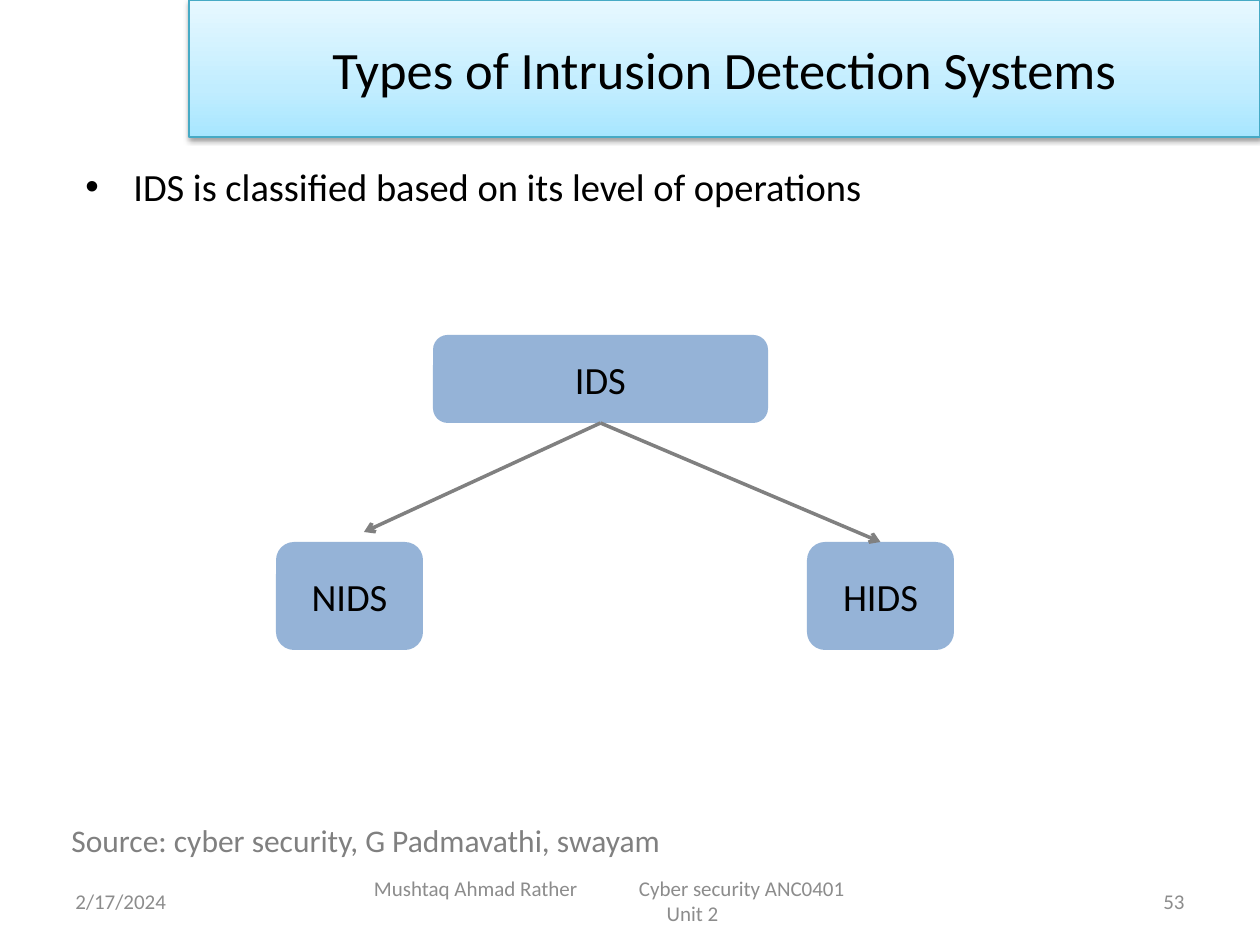
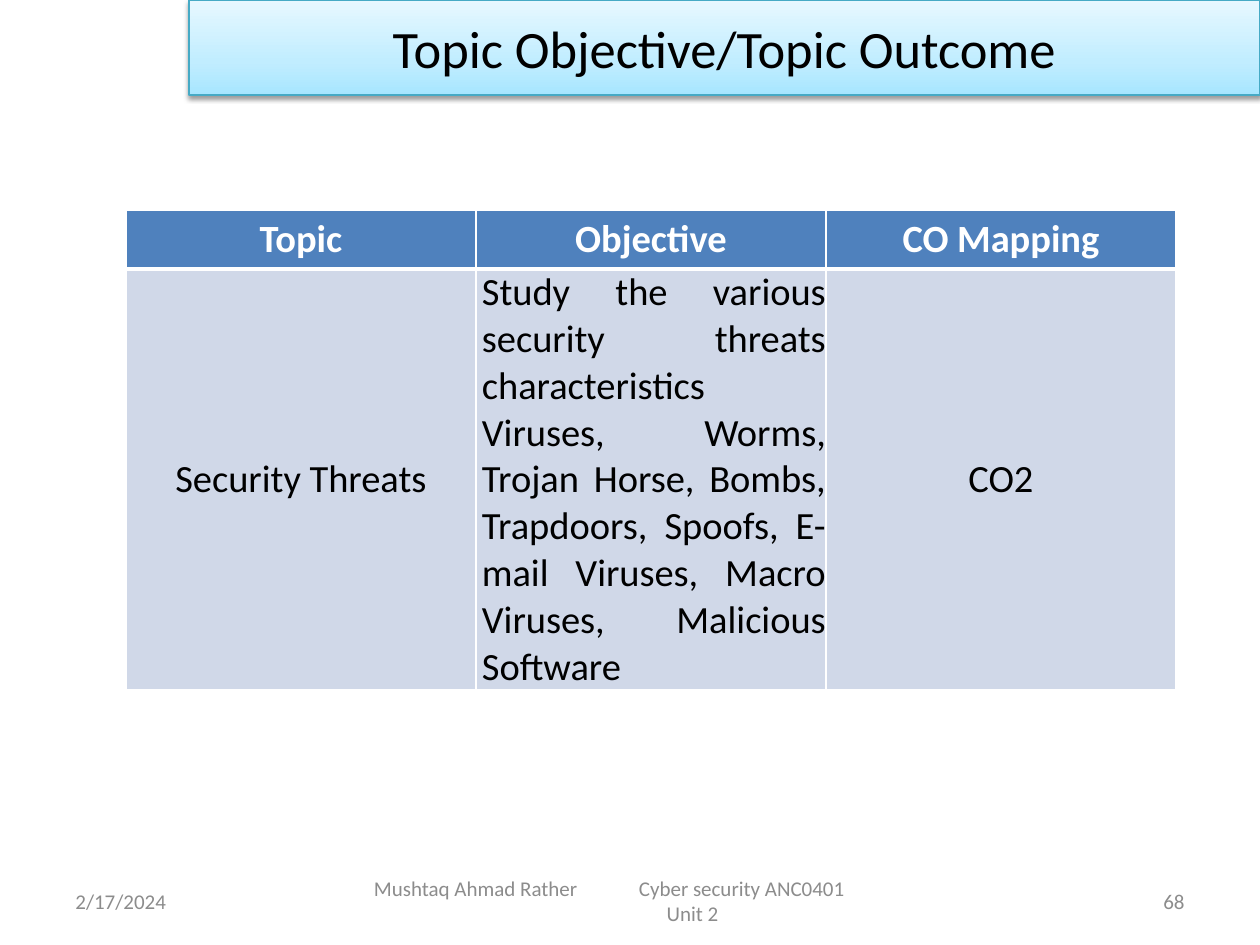
from lxml import etree
from pptx import Presentation
from pptx.dml.color import RGBColor
from pptx.enum.shapes import MSO_CONNECTOR, MSO_SHAPE
from pptx.enum.text import MSO_ANCHOR, MSO_AUTO_SIZE, PP_ALIGN
from pptx.oxml.ns import qn
from pptx.util import Emu, Pt

LEFT, CENTER, RIGHT, JUSTIFY = PP_ALIGN.LEFT, PP_ALIGN.CENTER, PP_ALIGN.RIGHT, PP_ALIGN.JUSTIFY
TOP, MIDDLE = MSO_ANCHOR.TOP, MSO_ANCHOR.MIDDLE
RECTANGLE = MSO_SHAPE.RECTANGLE
ROUNDED = MSO_SHAPE.FLOWCHART_ALTERNATE_PROCESS
STRAIGHT = MSO_CONNECTOR.STRAIGHT
FIT_SHAPE = MSO_AUTO_SIZE.SHAPE_TO_FIT_TEXT

EMU_PER_PX = 914400 / 126
FONT = "Calibri"
BLACK, WHITE, GRAY, FOOTER_GRAY = "000000", "FFFFFF", "808080", "8C8C8C"
BAND_STOPS = [(0, "A7E6FF"), (35, "C1EDFF"), (100, "E7F8FF")]
BAND_LINE, NODE_FILL = "46AAC5", "95B3D7"
HEADER_FILL, CELL_FILL = "4F81BD", "D0D8E8"
DATE = "2/17/2024"


def px(value):
    return Emu(round(value * EMU_PER_PX))


def rgb(color):
    return RGBColor.from_string(color)


def add_xml(parent, tag, **attributes):
    return etree.SubElement(parent, qn(tag), {key: str(value) for key, value in attributes.items()})


def write(paragraph, text, size=22, color=BLACK, bold=False, align=LEFT):
    paragraph.alignment = align
    run = paragraph.add_run()
    run.text = text
    run.font.name = FONT
    run.font.size = Pt(size)
    run.font.bold = bold
    run.font.color.rgb = rgb(color)


class Deck:
    def __init__(self):
        self.presentation = Presentation()
        self.presentation.slide_width = px(1260)
        self.presentation.slide_height = px(945)
        self.slide = None

    def start_slide(self, title, band_height, number):
        self.slide = self.presentation.slides.add_slide(self.presentation.slide_layouts[6])
        self.title_band(title, band_height)
        self.footer(number)

    def text_box(self, left, top, width, height, anchor=TOP, wrap=True):
        frame = self.slide.shapes.add_textbox(px(left), px(top), px(width), px(height)).text_frame
        frame.word_wrap = wrap
        frame.vertical_anchor = anchor
        return frame

    def box(self, kind, left, top, width, height, text, size=22):
        shape = self.slide.shapes.add_shape(kind, px(left), px(top), px(width), px(height))
        shape.shadow.inherit = False
        shape.text_frame.vertical_anchor = MIDDLE
        write(shape.text_frame.paragraphs[0], text, size=size, align=CENTER)
        return shape

    def title_band(self, title, height):
        band = self.box(RECTANGLE, 189, 0, 1071, height, title, size=30)
        band.line.color.rgb = rgb(BAND_LINE)
        band.line.width = Pt(0.75)
        band.fill.gradient()
        band.fill.gradient_angle = 90
        properties = band._element.spPr
        stops = properties.find(".//" + qn("a:gsLst"))
        for stop in list(stops):
            stops.remove(stop)
        for position, color in BAND_STOPS:
            add_xml(add_xml(stops, "a:gs", pos=position * 1000), "a:srgbClr", val=color)
        shadow = add_xml(properties.find(qn("a:effectLst")), "a:outerShdw",
                         blurRad=Pt(3.1), dist=Pt(1.6), dir=5400000, rotWithShape=0)
        add_xml(add_xml(shadow, "a:srgbClr", val=BLACK), "a:alpha", val=38000)

    def footer(self, number):
        style = {"size": 12, "color": FOOTER_GRAY}
        date = self.text_box(63, 876, 294, 50, MIDDLE)
        write(date.paragraphs[0], DATE, **style)
        course = self.text_box(346, 876, 693, 50, MIDDLE)
        course.margin_left = course.margin_right = px(28)
        author_line = course.paragraphs[0]
        tabs = add_xml(author_line._p.get_or_add_pPr(), "a:tabLst")
        add_xml(tabs, "a:tab", pos=px(265), algn="l")
        write(author_line, "Mushtaq Ahmad Rather\tCyber security ANC0401", **style)
        write(course.add_paragraph(), "Unit 2", align=CENTER, **style)
        page = self.text_box(903, 876, 294, 50, MIDDLE)
        write(page.paragraphs[0], number, align=RIGHT, **style)

    def bullet(self, left, top, width, height, text):
        paragraph = self.text_box(left, top, width, height).paragraphs[0]
        properties = paragraph._p.get_or_add_pPr()
        properties.set("marL", str(px(48)))
        properties.set("indent", str(-px(48)))
        add_xml(properties, "a:buFont", typeface="Arial")
        add_xml(properties, "a:buChar", char="•")
        paragraph.space_after = Pt(12)
        write(paragraph, text, align=JUSTIFY)

    def node(self, left, top, width, height, text):
        node = self.box(ROUNDED, left, top, width, height, text)
        node.fill.solid()
        node.fill.fore_color.rgb = rgb(NODE_FILL)
        node.line.fill.background()
        return node

    def arrow(self, parent, end, child=None):
        arrow = self.slide.shapes.add_connector(STRAIGHT, 0, 0, px(end[0]), px(end[1]))
        arrow.begin_connect(parent, 2)
        if child is not None:
            arrow.end_connect(child, 0)
        arrow.line.color.rgb = rgb(GRAY)
        arrow.line.width = Pt(2)
        add_xml(arrow.line._get_or_add_ln(), "a:tailEnd", type="arrow")
        add_xml(arrow._element.spPr, "a:effectLst")

    def source(self, left, top, width, height, text):
        frame = self.text_box(left, top, width, height, wrap=False)
        frame.auto_size = FIT_SHAPE
        write(frame.paragraphs[0], text, size=18, color=GRAY)

    def cell(self, cell, text, fill, bottom_line, margins=None, **style):
        if margins is not None:
            cell.margin_left, cell.margin_top, cell.margin_right, cell.margin_bottom = map(px, margins)
        cell.vertical_anchor = MIDDLE
        write(cell.text_frame.paragraphs[0], text, **style)
        properties = cell._tc.get_or_add_tcPr()
        for side, width in (("L", 1), ("R", 1), ("T", 1), ("B", bottom_line)):
            border = add_xml(properties, f"a:ln{side}", w=Pt(width))
            add_xml(add_xml(border, "a:solidFill"), "a:srgbClr", val=WHITE)
        cell.fill.solid()
        cell.fill.fore_color.rgb = rgb(fill)

    def table(self, left, top, column_width, row_heights, header, body):
        columns = len(header)
        table = self.slide.shapes.add_table(
            2, columns, px(left), px(top), px(column_width * columns), px(sum(row_heights))).table
        for row, height in zip(table.rows, row_heights):
            row.height = px(height)
        for index, (heading, (text, align, margins)) in enumerate(zip(header, body)):
            table.columns[index].width = px(column_width)
            heading_margins = None if margins is None else (0, 0, 0, 0)
            self.cell(table.cell(0, index), heading, HEADER_FILL, 3, heading_margins,
                      color=WHITE, bold=True, align=CENTER)
            self.cell(table.cell(1, index), text, CELL_FILL, 1, margins, align=align)


def main():
    deck = Deck()

    deck.start_slide("Types of Intrusion Detection Systems", 137, "53")
    deck.bullet(73, 157, 1134, 624, "IDS is classified based on its level of operations")
    ids = deck.node(433, 335, 335, 88, "IDS")
    deck.node(276, 542, 147, 108, "NIDS")
    hids = deck.node(807, 542, 147, 108, "HIDS")
    deck.arrow(ids, (364, 532))
    deck.arrow(ids, (881, 542), hids)
    deck.source(59, 815, 621, 50, "Source: cyber security, G Padmavathi, swayam")

    deck.start_slide("Topic Objective/Topic Outcome", 95, "68")
    objective = ("Study the various security threats characteristics Viruses, Worms, "
                 "Trojan Horse, Bombs, Trapdoors, Spoofs, E-mail Viruses, Macro Viruses, "
                 "Malicious Software")
    deck.table(126, 210, 350, (59, 421), ("Topic", "Objective", "CO Mapping"), (
        ("Security Threats", CENTER, (0, 0, 0, 0)),
        (objective, JUSTIFY, (6, 0, 0, 0)),
        ("CO2", CENTER, None),
    ))

    deck.presentation.save("out.pptx")


if __name__ == "__main__":
    main()
